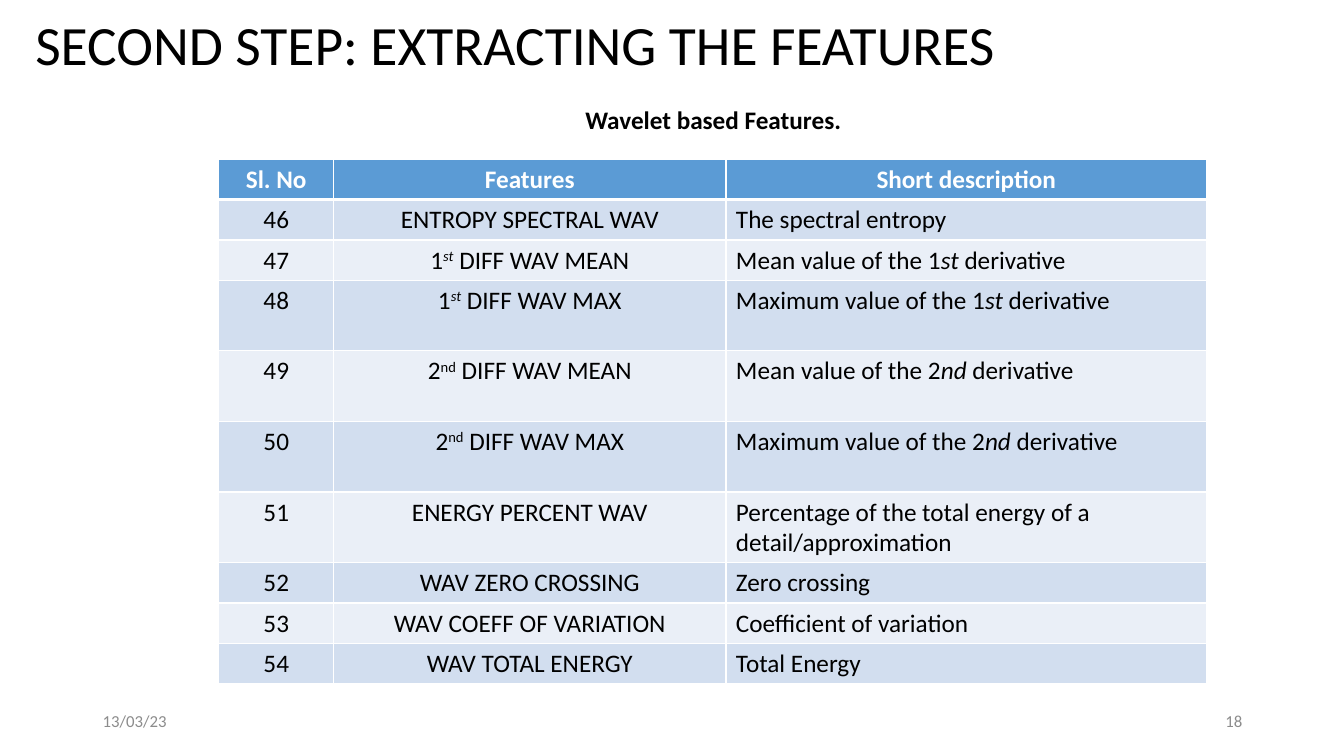
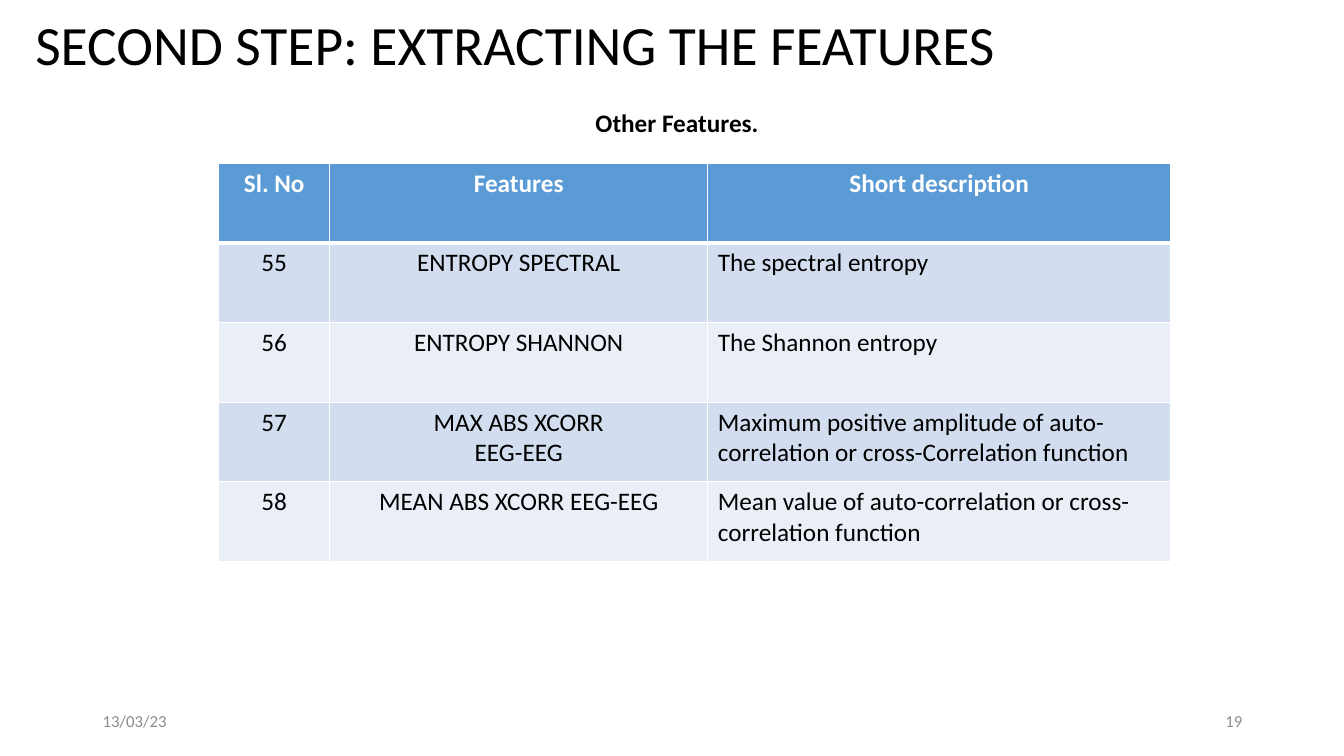
from lxml import etree
from pptx import Presentation
from pptx.dml.color import RGBColor
from pptx.enum.text import MSO_ANCHOR, MSO_AUTO_SIZE, PP_ALIGN
from pptx.oxml.ns import qn
from pptx.util import Inches, Pt

LEFT, CENTER, RIGHT = PP_ALIGN.LEFT, PP_ALIGN.CENTER, PP_ALIGN.RIGHT
TOP, MIDDLE = MSO_ANCHOR.TOP, MSO_ANCHOR.MIDDLE
NO_AUTOFIT = MSO_AUTO_SIZE.NONE

COLORS = {
    "text": "000000",
    "footer": "8C8C8C",
    "white": "FFFFFF",
    "header": "5B9BD5",
    "band_dark": "D2DEEF",
    "band_light": "EAEFF7",
}
FONT = "Calibri"
TITLE = "SECOND STEP: EXTRACTING THE FEATURES"
DATE = "13/03/23"
FIRST_PAGE = 18
TABLE_LEFT = 2.17
HEADINGS = ["Sl. No", "Features", "Short description"]
COLUMN_ALIGNMENTS = [CENTER, CENTER, LEFT]
ITALIC = {"italic": True}
SUPERSCRIPT = {"raised": True}
ITALIC_SUPERSCRIPT = {"italic": True, "raised": True}


def derivative(digit, suffix, statistic):
    """Return the description of a derivative feature as styled runs."""
    return [(f"{statistic} value of the {digit}", {}), (suffix, ITALIC),
            (" derivative", {})]


def difference(digit, suffix, statistic, style):
    """Return the name of a difference feature as styled runs."""
    return [(digit, {}), (suffix, style), (f" DIFF WAV {statistic}", {})]


SLIDES = [
    {
        "caption": "Wavelet based Features.",
        "caption_at": (2.9, 0.99),
        "table_top": 1.58,
        "columns": [1.14, 3.89, 4.77],
        "heights": [0.4] * 3 + [0.7] * 4 + [0.4] * 3,
        "first_number": 46,
        "features": [
            ("ENTROPY SPECTRAL WAV", "The spectral entropy"),
            (difference("1", "st", "MEAN", ITALIC_SUPERSCRIPT),
             derivative("1", "st", "Mean")),
            (difference("1", "st", "MAX", ITALIC_SUPERSCRIPT),
             derivative("1", "st", "Maximum")),
            (difference("2", "nd", "MEAN", SUPERSCRIPT),
             derivative("2", "nd", "Mean")),
            (difference("2", "nd", "MAX", SUPERSCRIPT),
             derivative("2", "nd", "Maximum")),
            ("ENERGY PERCENT WAV",
             "Percentage of the total energy of a\ndetail/approximation"),
            ("WAV ZERO CROSSING", "Zero crossing"),
            ("WAV COEFF OF VARIATION", "Coefficient of variation"),
            ("WAV TOTAL ENERGY", "Total Energy"),
        ],
    },
    {
        "caption": "Other Features.",
        "caption_at": (2.54, 1.02),
        "table_top": 1.62,
        "columns": [1.1, 3.75, 4.59],
        "heights": [0.79] * 5,
        "first_number": 55,
        "features": [
            ("ENTROPY SPECTRAL", "The spectral entropy"),
            ("ENTROPY SHANNON", "The Shannon entropy"),
            ("MAX ABS XCORR\nEEG-EEG",
             "Maximum positive amplitude of auto-correlation or "
             "cross-Correlation function"),
            ("MEAN ABS XCORR EEG-EEG",
             "Mean value of auto-correlation or cross-correlation function"),
        ],
    },
]


def write_text(frame, content, size=18, color="text", bold=False,
               align=LEFT, line_spacing=None):
    """Fill a text frame with a string or with a list of styled runs."""
    if isinstance(content, str):
        lines = [[(line, {})] for line in content.split("\n")]
    else:
        lines = [content]
    for index, runs in enumerate(lines):
        paragraph = frame.add_paragraph() if index else frame.paragraphs[0]
        paragraph.alignment = align
        if line_spacing:
            paragraph.line_spacing = line_spacing
        for text, style in runs:
            run = paragraph.add_run()
            run.text = text
            run.font.name = FONT
            run.font.size = Pt(size)
            run.font.bold = bold
            run.font.italic = style.get("italic", False)
            run.font.color.rgb = RGBColor.from_string(COLORS[color])
            if style.get("raised"):
                run.font._element.set("baseline", "30000")


def add_title(slide):
    """Place and format the title placeholder."""
    title = slide.shapes.title
    title.left, title.top = Inches(0.25), Inches(0.13)
    title.width, title.height = Inches(11.5), Inches(0.68)
    frame = title.text_frame
    frame.auto_size = NO_AUTOFIT
    frame.vertical_anchor = MIDDLE
    write_text(frame, TITLE, size=39.6, line_spacing=0.9)


def add_label(slide, text, left, top, width, anchor=TOP, **text_format):
    """Add a one-line text box."""
    box = slide.shapes.add_textbox(Inches(left), Inches(top),
                                   Inches(width), Inches(0.4))
    frame = box.text_frame
    frame.word_wrap = True
    frame.vertical_anchor = anchor
    write_text(frame, text, **text_format)


def add_footer(slide, page):
    """Add the date and the page number."""
    for text, left, align in ((DATE, 0.92, LEFT), (str(page), 9.42, RIGHT)):
        add_label(slide, text, left, 6.95, 3, anchor=MIDDLE,
                  size=12, color="footer", align=align)


def set_borders(cell, top=1, bottom=1):
    """Draw white borders around a table cell."""
    properties = cell._tc.get_or_add_tcPr()
    for tag, width in (("lnL", 1), ("lnR", 1), ("lnT", top), ("lnB", bottom)):
        line = etree.SubElement(properties, qn(f"a:{tag}"), w=str(Pt(width)))
        fill = etree.SubElement(line, qn("a:solidFill"))
        etree.SubElement(fill, qn("a:srgbClr"), val=COLORS["white"])


def format_cell(cell, content, row, align):
    """Write a cell with the fill and borders of its row."""
    is_header = row == 0
    set_borders(cell, top=3 if row == 1 else 1, bottom=3 if is_header else 1)
    band = "band_dark" if row % 2 else "band_light"
    cell.fill.solid()
    cell.fill.fore_color.rgb = RGBColor.from_string(
        COLORS["header" if is_header else band])
    write_text(cell.text_frame, content, bold=is_header,
               color="white" if is_header else "text",
               align=CENTER if is_header else align)


def add_feature_table(slide, content):
    """Add the numbered table of features."""
    columns, heights = content["columns"], content["heights"]
    table = slide.shapes.add_table(
        len(heights), len(columns), Inches(TABLE_LEFT),
        Inches(content["table_top"]), Inches(sum(columns)),
        Inches(sum(heights))).table
    for column, width in zip(table.columns, columns):
        column.width = Inches(width)
    for row, height in zip(table.rows, heights):
        row.height = Inches(height)
    numbered = enumerate(content["features"], content["first_number"])
    rows = [HEADINGS] + [[str(number), *feature] for number, feature in numbered]
    for row_index, values in enumerate(rows):
        for column_index, value in enumerate(values):
            format_cell(table.cell(row_index, column_index), value,
                        row_index, COLUMN_ALIGNMENTS[column_index])


def main():
    """Build and save the presentation."""
    presentation = Presentation()
    presentation.slide_width = Inches(13.33)
    presentation.slide_height = Inches(7.5)
    title_only = presentation.slide_layouts[5]
    for page, content in enumerate(SLIDES, FIRST_PAGE):
        slide = presentation.slides.add_slide(title_only)
        add_title(slide)
        add_label(slide, content["caption"], *content["caption_at"], 8.35,
                  bold=True, align=CENTER)
        add_feature_table(slide, content)
        add_footer(slide, page)
    presentation.save("out.pptx")


if __name__ == "__main__":
    main()
